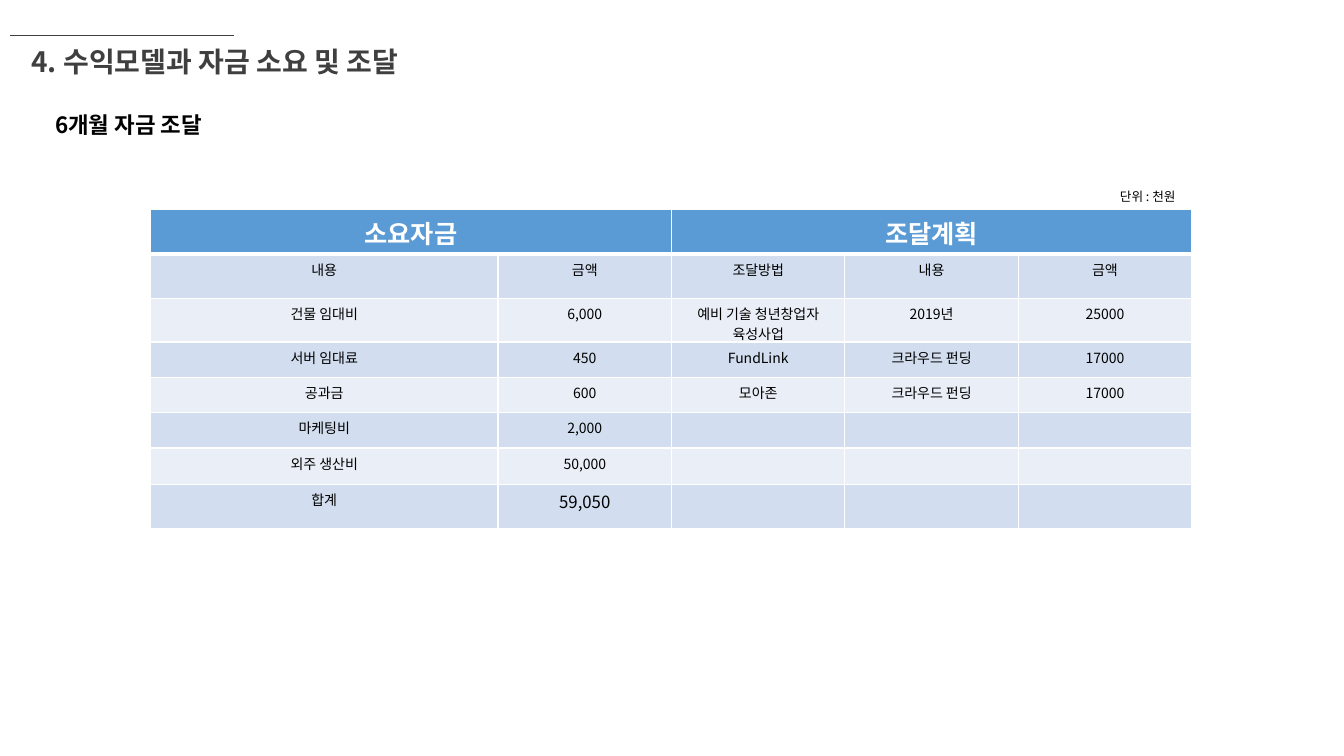
import lxml.etree
import pptx
import pptx.dml.color
import pptx.enum.shapes
import pptx.enum.text
import pptx.oxml.ns
import pptx.util

Inches = pptx.util.Inches
qn = pptx.oxml.ns.qn

COLORS = {
    "gray": "3F3F3F",
    "black": "000000",
    "white": "FFFFFF",
    "header": "5B9BD5",
    "dark_band": "D2DEEF",
    "light_band": "EAEFF7",
}
FONT = "Noto Sans CJK KR"

COLUMN_WIDTHS = [3.45, 1.72, 1.72, 1.72, 1.72]
ROW_HEIGHTS = [0.44, 0.44, 0.35, 0.35, 0.35, 0.35, 0.36, 0.44]
FUNDING_ROWS = [
    ["소요자금", "", "조달계획", "", ""],
    ["내용", "금액", "조달방법", "내용", "금액"],
    ["건물 임대비", "6,000", "예비 기술 청년창업자 육성사업", "2019년", "25000"],
    ["서버 임대료", "450", "FundLink", "크라우드 펀딩", "17000"],
    ["공과금", "600", "모아존", "크라우드 펀딩", "17000"],
    ["마케팅비", "2,000", "", "", ""],
    ["외주 생산비", "50,000", "", "", ""],
    ["합계", "59,050", "", "", ""],
]


class SlideBuilder:
    def __init__(self, slide):
        self.slide = slide

    def color(self, name):
        return pptx.dml.color.RGBColor.from_string(COLORS[name])

    def format_paragraph(self, paragraph, size, color, bold=False, align="LEFT"):
        paragraph.alignment = getattr(pptx.enum.text.PP_ALIGN, align)
        font = paragraph.font
        font.size = pptx.util.Pt(size)
        font.bold = bold
        font.color.rgb = self.color(color)
        font.name = FONT
        # Korean glyphs use the East Asian typeface
        properties = paragraph._p.pPr.find(qn("a:defRPr"))
        lxml.etree.SubElement(properties, qn("a:ea"), typeface=FONT)
        if not paragraph.text:
            lxml.etree.SubElement(paragraph._p, qn("a:endParaRPr"), sz=str(size * 100))

    def fill_text(self, shape, text, box, size, color, bold, wrap=True):
        shape.left, shape.top, shape.width, shape.height = map(Inches, box)
        frame = shape.text_frame
        frame.text = text
        frame.word_wrap = wrap
        frame.auto_size = pptx.enum.text.MSO_AUTO_SIZE.SHAPE_TO_FIT_TEXT
        frame.vertical_anchor = pptx.enum.text.MSO_ANCHOR.TOP
        self.format_paragraph(frame.paragraphs[0], size, color, bold)

    def title(self, text, box, size, color):
        self.fill_text(self.slide.shapes.title, text, box, size, color, True)

    def text(self, text, box, size, color, bold=False, wrap=True):
        shape = self.slide.shapes.add_textbox(*map(Inches, box))
        self.fill_text(shape, text, box, size, color, bold, wrap)

    def line(self, start, end, color, width):
        connector = self.slide.shapes.add_connector(
            pptx.enum.shapes.MSO_CONNECTOR.STRAIGHT, *map(Inches, start + end))
        connector.line.color.rgb = self.color(color)
        connector.line.width = pptx.util.Pt(width)
        lxml.etree.SubElement(connector._element.spPr, qn("a:effectLst"))

    def borders(self, cell, bottom, top):
        properties = cell._tc.get_or_add_tcPr()
        widths = {"lnL": 1, "lnR": 1, "lnT": top, "lnB": bottom}
        for index, (side, width) in enumerate(widths.items()):
            border = lxml.etree.Element(qn("a:" + side), w=str(pptx.util.Pt(width)))
            fill = lxml.etree.SubElement(border, qn("a:solidFill"))
            lxml.etree.SubElement(fill, qn("a:srgbClr"), val=COLORS["white"])
            properties.insert(index, border)

    def table(self, rows, left, top, widths, heights, merges):
        table = self.slide.shapes.add_table(
            len(rows), len(widths), Inches(left), Inches(top),
            Inches(sum(widths)), Inches(sum(heights))).table
        for column, width in zip(table.columns, widths):
            column.width = Inches(width)
        for row, height in zip(table.rows, heights):
            row.height = Inches(height)
        for row_index, values in enumerate(rows):
            header = row_index == 0
            band = "header" if header else ("light_band", "dark_band")[row_index % 2]
            for column_index, value in enumerate(values):
                cell = table.cell(row_index, column_index)
                cell.text = value
                cell.fill.solid()
                cell.fill.fore_color.rgb = self.color(band)
                self.borders(cell, 3 if header else 1, 3 if row_index == 1 else 1)
                total = value == rows[-1][1]
                size = 18 if header else 12 if total else 10
                self.format_paragraph(cell.text_frame.paragraphs[0], size,
                                      "white" if header else "black", header, "CENTER")
        for first, last in merges:
            table.cell(0, first).merge(table.cell(0, last))


def main():
    presentation = pptx.Presentation()
    presentation.slide_width = Inches(13.33)
    presentation.slide_height = Inches(7.5)
    title_only = presentation.slide_layouts[5]
    builder = SlideBuilder(presentation.slides.add_slide(title_only))

    # Heading
    builder.line((0.1, 0.35), (2.32, 0.35), "gray", 1)
    builder.title("4. 수익모델과 자금 소요 및 조달", (0.21, 0.39, 4.95, 0.44), 20, "gray")

    # Funding table
    builder.table(FUNDING_ROWS, 1.49, 2.08, COLUMN_WIDTHS, ROW_HEIGHTS, [(0, 1), (2, 4)])

    # Subtitle and unit
    builder.text("6개월 자금 조달", (0.45, 1.05, 2.29, 0.37), 16, "black", bold=True)
    builder.text("단위 : 천원", (11.01, 1.82, 0.83, 0.25), 9, "black", wrap=False)

    presentation.save("out.pptx")


if __name__ == "__main__":
    main()
